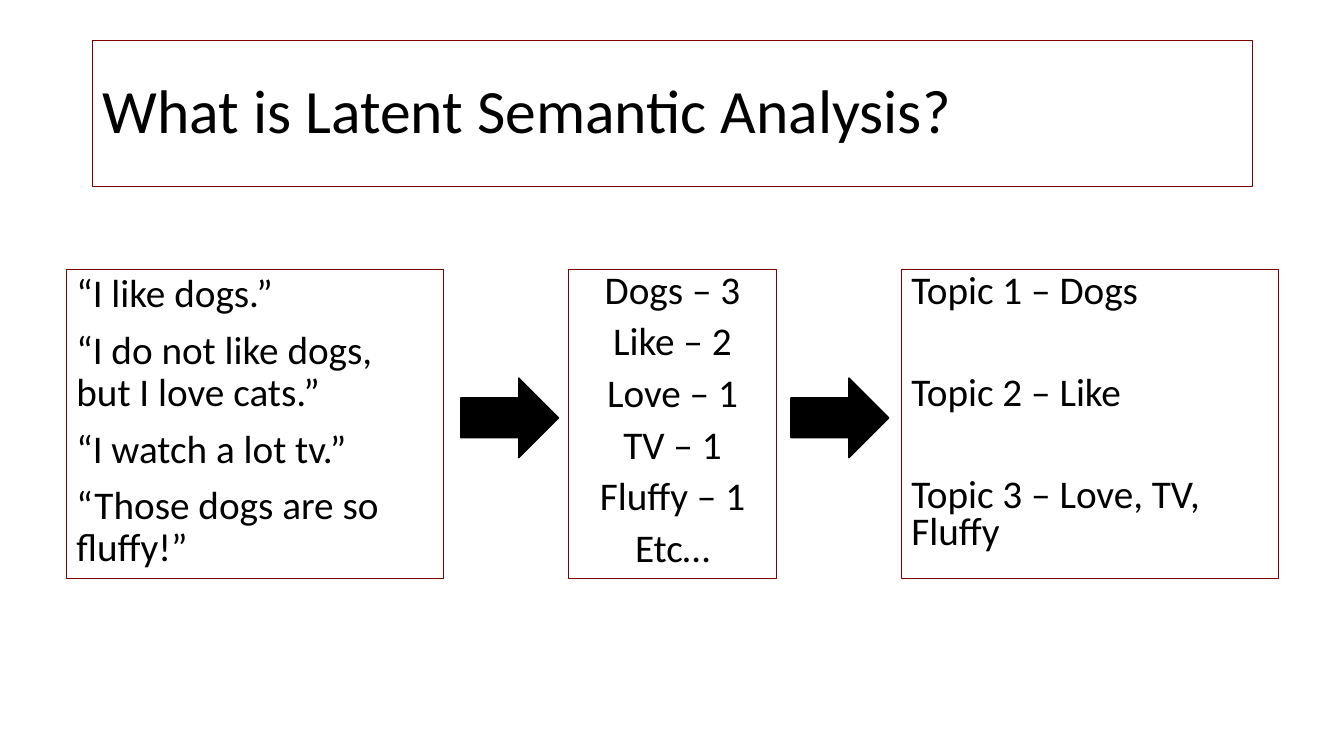
from dataclasses import dataclass

from pptx import Presentation
from pptx.dml.color import RGBColor
from pptx.enum.shapes import MSO_SHAPE
from pptx.enum.text import MSO_ANCHOR, PP_ALIGN
from pptx.util import Inches, Pt


@dataclass(frozen=True)
class Theme:
    font: str = "Calibri"
    ink: str = "000000"
    paper: str = "FFFFFF"
    edge: str = "800000"
    head: int = 44
    body: int = 28


THEME = Theme()
WIDE, HIGH = 13.33, 7.5

SAYINGS = ["“I like dogs.”", "“I do not like dogs, but I love cats.”",
           "“I watch a lot tv.”", "“Those dogs are so fluffy!”"]
COUNTS = ["Dogs – 3", "Like – 2", "Love – 1", "TV – 1", "Fluffy – 1", "Etc…"]
TOPICS = ["Topic 1 – Dogs", "Topic 2 – Like", "Topic 3 – Love, TV, Fluffy"]


def add_form(slide, kind, box, fill, edge, weight):
    form = slide.shapes.add_shape(kind, *[Inches(side) for side in box])
    form.shadow.inherit = False
    form.fill.solid()
    form.fill.fore_color.rgb = RGBColor.from_string(fill)
    form.line.color.rgb = RGBColor.from_string(edge)
    form.line.width = Pt(weight)
    return form


def write(form, lines, size=THEME.body, align=PP_ALIGN.LEFT,
          anchor=MSO_ANCHOR.TOP, pitch=0.9, gap=10):
    frame = form.text_frame
    frame.word_wrap = True
    frame.vertical_anchor = anchor
    for index, line in enumerate(lines):
        para = frame.add_paragraph() if index else frame.paragraphs[0]
        para.text = line
        para.alignment = align
        para.line_spacing = pitch
        para.space_before = Pt(gap if index else 0)
        para.font.name = THEME.font
        para.font.size = Pt(size)
        para.font.color.rgb = RGBColor.from_string(THEME.ink)


def add_panel(slide, box, lines, **style):
    panel = add_form(slide, MSO_SHAPE.RECTANGLE, box,
                     THEME.paper, THEME.edge, 0.75)
    write(panel, lines, **style)


def add_title(slide, box):
    add_panel(slide, box, ["What is Latent Semantic Analysis?"],
              size=THEME.head, anchor=MSO_ANCHOR.MIDDLE)


def add_flow(slide, box):
    left, top, width, height = box
    side, mid = 3.74, 2.07
    gap = (width - 2 * side - mid) / 2

    # Panels: sentences, word counts, topics
    panels = [(side, SAYINGS, {}),
              (mid, COUNTS, {"align": PP_ALIGN.CENTER, "pitch": 0.8}),
              (side, TOPICS, {"pitch": 0.8, "gap": 46})]
    ends = []
    for span, lines, style in panels:
        add_panel(slide, (left, top, span, height), lines, **style)
        ends.append(left + span)
        left += span + gap

    # Arrows in the gaps between panels
    long, tall = 0.97, 0.79
    for end, inset in zip(ends, (0.17, 0.14)):
        spot = (end + inset, top + (height - tall) / 2 - 0.06, long, tall)
        add_form(slide, MSO_SHAPE.RIGHT_ARROW, spot, THEME.ink, THEME.ink, 1)


def main():
    deck = Presentation()
    deck.slide_width, deck.slide_height = Inches(WIDE), Inches(HIGH)
    slide = deck.slides.add_slide(deck.slide_layouts[6])
    add_title(slide, (0.92, 0.4, 11.5, 1.45))
    add_flow(slide, (0.66, 2.67, 12.02, 3.07))
    deck.save("out.pptx")


if __name__ == "__main__":
    main()
